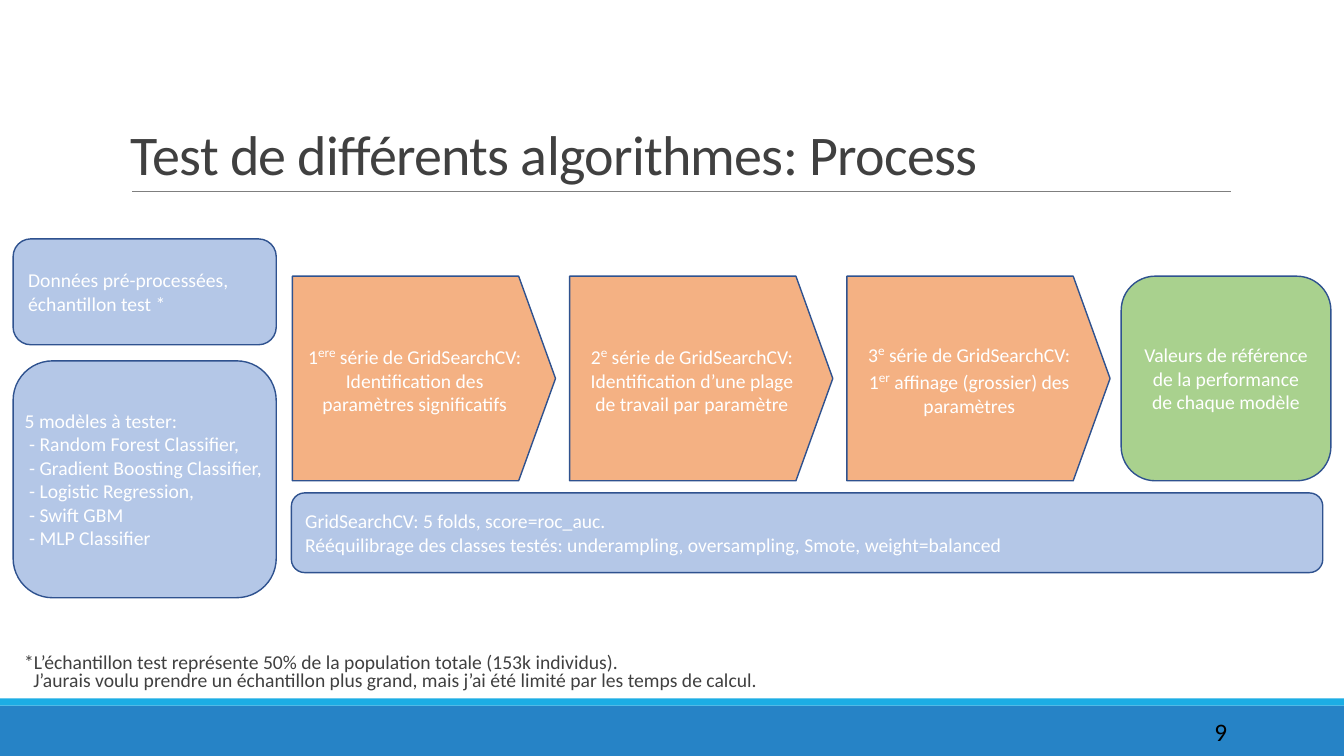
from lxml.etree import SubElement
from pptx import Presentation
from pptx.dml.color import RGBColor
from pptx.enum.shapes import MSO_CONNECTOR, MSO_SHAPE
from pptx.enum.text import MSO_ANCHOR, PP_ALIGN
from pptx.oxml.ns import qn
from pptx.util import Inches, Pt

WHITE = RGBColor(0xFF, 0xFF, 0xFF)
BLACK = RGBColor(0, 0, 0)
INK = RGBColor(0x40, 0x40, 0x40)
GRAY = RGBColor(0x7F, 0x7F, 0x7F)
NAVY = RGBColor(0x2F, 0x52, 0x8F)
PALE = RGBColor(0xB4, 0xC7, 0xE7)
PEACH = RGBColor(0xF4, 0xB1, 0x83)
GREEN = RGBColor(0xA9, 0xD1, 0x8E)
BLUE = RGBColor(0x26, 0x83, 0xC6)
CYAN = RGBColor(0x1C, 0xAD, 0xE4)

FONT = "Calibri"
LEFT, MID, RIGHT = PP_ALIGN.LEFT, PP_ALIGN.CENTER, PP_ALIGN.RIGHT
ROUND, ARROW = MSO_SHAPE.ROUNDED_RECTANGLE, MSO_SHAPE.PENTAGON

TITLE = "Test de différents algorithmes: Process"
NOTE = (
    "*L’échantillon test représente 50% de la population totale (153k individus).\n"
    "J’aurais voulu prendre un échantillon plus grand, mais j’ai été limité par les temps de calcul."
)
DATA = ["Données pré-processées, échantillon test *"]
MODELS = [
    "5 modèles à tester:",
    " - Random Forest Classifier,",
    " - Gradient Boosting Classifier,",
    " - Logistic Regression,",
    " - Swift GBM",
    " - MLP Classifier",
]
STEPS = [
    ["1^ere^ série de GridSearchCV:", "Identification des paramètres significatifs"],
    ["2^e^ série de GridSearchCV:", "Identification d’une plage de travail par paramètre"],
    ["3^e^ série de GridSearchCV:", "1^er^ affinage (grossier) des paramètres"],
]
RESULT = ["Valeurs de référence de la performance de chaque modèle"]
SETUP = [
    "GridSearchCV: 5 folds, score=roc_auc.",
    "Rééquilibrage des classes testés: underampling, oversampling, Smote, weight=balanced",
]

WIDE = 2.61
TOP, TALL = 2.74, 2.03
START, PITCH = 2.9, 2.75
BOXES = [
    (ROUND, (0.13, 2.37, WIDE, 1.05), PALE, DATA, LEFT, 0.1),
    (ROUND, (0.13, 3.58, WIDE, 2.35), PALE, MODELS, LEFT, 0),
    *[
        (ARROW, (START + i * PITCH, TOP, WIDE, TALL), PEACH, step, MID, 0.1)
        for i, step in enumerate(STEPS)
    ],
    (ROUND, (11.12, TOP, 2.08, TALL), GREEN, RESULT, MID, 0.12),
    (ROUND, (2.89, 4.89, 10.23, 0.79), PALE, SETUP, LEFT, 0.1),
]


def style(para, size, color, align):
    para.alignment = align
    para.font.name = FONT
    para.font.size = Pt(size)
    para.font.color.rgb = color


def add_block(slide, kind, place, fill):
    shape = slide.shapes.add_shape(kind, *map(Inches, place))
    shape.shadow.inherit = False
    shape.fill.solid()
    shape.fill.fore_color.rgb = fill
    shape.line.fill.background()
    return shape


def add_box(slide, kind, place, fill, lines, align, inset):
    shape = add_block(slide, kind, place, fill)
    shape.line.color.rgb = NAVY
    shape.line.width = Pt(1)
    shape.adjustments[0] = 0.18 if kind == ARROW else 0.1667
    frame = shape.text_frame
    frame.word_wrap = True
    frame.vertical_anchor = MSO_ANCHOR.MIDDLE
    frame.margin_left = frame.margin_right = Inches(inset)
    for i, line in enumerate(lines):
        para = frame.add_paragraph() if i else frame.paragraphs[0]
        style(para, 14, WHITE, align)
        for j, part in enumerate(line.split("^")):
            run = para.add_run()
            run.text = part
            if j % 2:
                run.font.size = Pt(16.2)
                run.font._element.set("baseline", "30000")


def add_text(slide, place, text, size, color, align, anchor):
    frame = slide.shapes.add_textbox(*map(Inches, place)).text_frame
    frame.word_wrap = True
    frame.vertical_anchor = anchor
    para = frame.paragraphs[0]
    para.text = text
    style(para, size, color, align)
    return frame, para


def main():
    deck = Presentation()
    deck.slide_width, deck.slide_height = Inches(13.33), Inches(7.5)
    slide = deck.slides.add_slide(deck.slide_layouts[6])

    add_block(slide, MSO_SHAPE.RECTANGLE, (0, 7, 13.33, 0.5), BLUE)
    add_block(slide, MSO_SHAPE.RECTANGLE, (0, 6.93, 13.33, 0.07), CYAN)
    rule = slide.shapes.add_connector(
        MSO_CONNECTOR.STRAIGHT, *map(Inches, (1.31, 1.9, 12.21, 1.9))
    )
    rule.line.color.rgb = GRAY
    rule.line.width = Pt(0.5)
    SubElement(rule._element.spPr, qn("a:effectLst"))

    _, title = add_text(
        slide, (1.2, 0.31, 11, 1.59), TITLE, 40, INK, LEFT, MSO_ANCHOR.BOTTOM
    )
    title.line_spacing = 0.8
    title.runs[0].font._element.set("spc", "-50")

    frame, note = add_text(
        slide, (0.24, 6.44, 11, 0.74), NOTE, 14, INK, LEFT, MSO_ANCHOR.TOP
    )
    frame.margin_left = frame.margin_right = 0
    note.line_spacing = 0.8
    note.space_before, note.space_after = Pt(12), Pt(2)
    hang = Inches(0.09)
    props = note._p.get_or_add_pPr()
    props.set("marL", str(hang))
    props.set("indent", str(-hang))

    add_text(slide, (10.83, 7.06, 1.44, 0.4), "9", 18, BLACK, RIGHT, MSO_ANCHOR.MIDDLE)

    for box in BOXES:
        add_box(slide, *box)
    deck.save("out.pptx")


if __name__ == "__main__":
    main()
